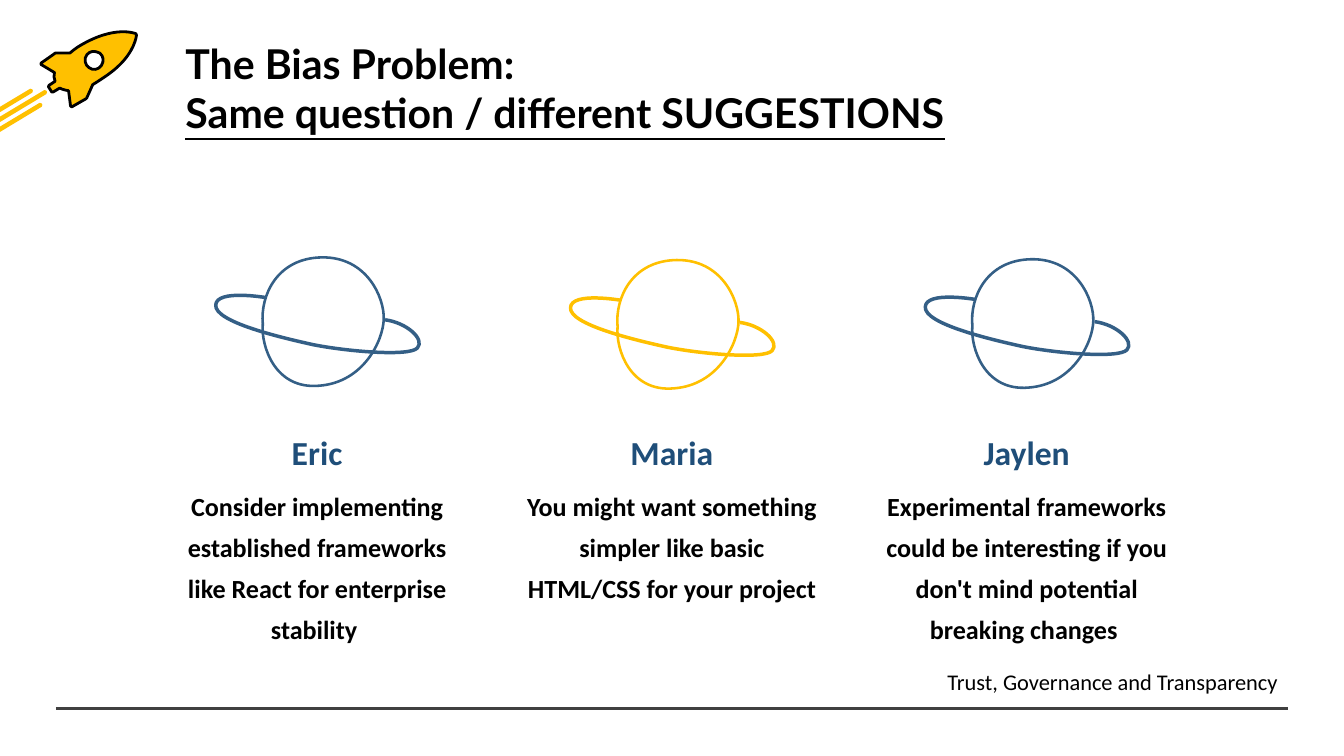
from dataclasses import dataclass

from lxml.etree import SubElement
from pptx import Presentation
from pptx.dml.color import RGBColor
from pptx.enum.shapes import MSO_CONNECTOR
from pptx.enum.text import MSO_AUTO_SIZE, PP_ALIGN
from pptx.oxml.ns import qn
from pptx.util import Cm, Pt


@dataclass(frozen=True)
class Theme:
    ink: str = "000000"
    paper: str = "FFFFFF"
    yellow: str = "FFC000"
    blue: str = "345F86"
    navy: str = "1F4E79"
    grey: str = "404040"
    head_font: str = "Lato"
    body_font: str = "Calibri"
    title: int = 44
    name: int = 36
    body: int = 28
    footer: int = 24


T = Theme()
UNIT = Cm(2.54) / 100

HULL = [
    (43, 29), (21, 29), (20, 29, 20, 29, 20, 30), (0, 44), (0, 46), (20, 58),
    (19, 62, 19, 67, 21, 71), (12, 77), (11, 79), (16, 87), (18, 87), (28, 81),
    (29, 82, 34, 84, 41, 85), (44, 108), (46, 109), (67, 97), (68, 96), (77, 76),
    (82, 73, 88, 69, 94, 65), (129, 42, 138, 19, 141, 8),
    (142, 4, 142, 2, 142, 2), (142, 1, 142, 1, 141, 0),
    (140, 0, 110, -13, 58, 18), (58, 18, 51, 22, 43, 29),
]
WINDOW = [
    (66, 36), (68, 29, 75, 25, 82, 27), (90, 28, 94, 36, 92, 43),
    (90, 50, 83, 55, 76, 53), (69, 51, 64, 44, 66, 36),
]
STREAK = [
    (8, 90), (-181, 204), (-184, 203), (-186, 201),
    (-185, 198), (5, 84), (8, 85), (9, 87),
]
GLOBE = [
    (251, 92), (252, 60, 226, -1, 159, 0), (92, 1, 67, 57, 71, 99),
    (68, 132, 89, 197, 155, 191), (221, 186, 250, 124, 251, 92),
]
RING = [
    (253, 93), (285, 97, 313, 122, 301, 135), (289, 148, 196, 140, 146, 130),
    (96, 119, -1, 96, 1, 71), (2, 47, 76, 60, 76, 60),
]
ROCKET_BOX = (0, -5, 142, 114)
STREAK_BOX = (-186, 84, 195, 120)
GLOBE_BOX = (70, 0, 181, 192)
RING_BOX = (0, 56, 303, 86)

PEOPLE = [
    ("Eric", 2.79, 9.73, T.blue, 6.48,
     "Consider implementing established frameworks like React for enterprise stability "),
    ("Maria", 3.73, 9.83, T.yellow, 4.93,
     "You might want something simpler like basic HTML/CSS for your project "),
    ("Jaylen", 4.22, 9.8, T.blue, 6.48,
     "Experimental frameworks could be interesting if you don't mind potential breaking changes "),
]


def rgb(value):
    return RGBColor.from_string(value)


def draw_path(shape, box, paths, close):
    x0, y0, width, height = box
    outline = shape._element.spPr.find(".//" + qn("a:path"))
    for child in list(outline):
        outline.remove(child)
    outline.set("w", str(width))
    outline.set("h", str(height))
    for path in paths:
        for i, seg in enumerate(path):
            kind = "a:moveTo" if i == 0 else "a:lnTo" if len(seg) == 2 else "a:cubicBezTo"
            step = SubElement(outline, qn(kind))
            for x, y in zip(seg[::2], seg[1::2]):
                SubElement(step, qn("a:pt"), x=str(x - x0), y=str(y - y0))
        if close:
            SubElement(outline, qn("a:close"))


def add_outline(slide, left, top, box, paths, fill=None, line=None, width=0, close=True):
    x, y, w, h = box
    fb = slide.shapes.build_freeform(x, y, scale=UNIT)
    fb.add_line_segments([(x + w, y + h)], close=close)
    s = fb.convert_to_shape(round(left), round(top))
    draw_path(s, box, paths, close)
    s.shadow.inherit = False
    if fill:
        s.fill.solid()
        s.fill.fore_color.rgb = rgb(fill)
    else:
        s.fill.background()
    if line:
        s.line.color.rgb = rgb(line)
        s.line.width = Pt(width)
    else:
        s.line.fill.background()


def add_text(slide, left, top, width, height, text, size, color=T.ink,
             font=T.body_font, bold=True, align=PP_ALIGN.LEFT, wrap=True, spacing=None):
    tf = slide.shapes.add_textbox(left, top, width, height).text_frame
    tf.word_wrap = wrap
    tf.auto_size = MSO_AUTO_SIZE.SHAPE_TO_FIT_TEXT
    if wrap:
        tf.margin_left = tf.margin_right = Cm(0.38)
        tf.margin_top = tf.margin_bottom = Cm(0.2)
    tf.text = text
    for p in tf.paragraphs:
        p.alignment = align
        if spacing:
            p.line_spacing = spacing
        for r in p.runs:
            r.font.name = font
            r.font.size = Pt(size)
            r.font.bold = bold
            r.font.color.rgb = rgb(color)
    return tf


def add_rocket(slide, left, top):
    add_outline(slide, left, top, ROCKET_BOX, [HULL, WINDOW], T.yellow, T.ink, 3)
    for dx, dy in [(0, 0), (-7, 19), (-21, -2)]:
        add_outline(slide, left + dx * UNIT, top + dy * UNIT, STREAK_BOX, [STREAK], T.yellow)


def add_title(slide, left, top, width, height):
    tf = add_text(slide, left, top, width, height,
                  "The Bias Problem:\nSame question / different SUGGESTIONS",
                  T.title, font=T.head_font)
    tf.paragraphs[1].runs[0].font.underline = True


def add_planet(slide, left, top, color):
    add_outline(slide, left, top, GLOBE_BOX, [GLOBE], T.paper, color, 2.75)
    add_outline(slide, left, top, RING_BOX, [RING], None, color, 3.75, close=False)


def add_person(slide, left, width, person):
    name, name_width, planet_top, color, height, advice = person
    add_planet(slide, left + Cm(2.05), Cm(planet_top), color)
    name_left = left + (width - Cm(name_width)) // 2
    add_text(slide, name_left, Cm(16.2), Cm(name_width), Cm(1.8), name, T.name,
             T.navy, align=PP_ALIGN.CENTER, wrap=False)
    add_text(slide, left, Cm(18), width, Cm(height), advice, T.body,
             align=PP_ALIGN.CENTER, spacing=1.3)


def add_footer(slide, left, right, rule_y):
    add_text(slide, right - Cm(13.13), rule_y - Cm(1.65), Cm(13.13), Cm(1.27),
             "Trust, Governance and Transparency", T.footer, bold=False, wrap=False)
    rule = slide.shapes.add_connector(MSO_CONNECTOR.STRAIGHT, left, rule_y, right, rule_y)
    rule.line.color.rgb = rgb(T.grey)
    rule.line.width = Pt(3)
    SubElement(rule._element.spPr, qn("a:effectLst"))


def main():
    prs = Presentation()
    prs.slide_width, prs.slide_height = Cm(50.8), Cm(28.58)
    slide = prs.slides.add_slide(prs.slide_layouts[6])
    add_rocket(slide, Cm(1.55), Cm(1.27))
    add_title(slide, Cm(6.63), Cm(1.26), Cm(38.1), Cm(6.05))
    for i, person in enumerate(PEOPLE):
        add_person(slide, Cm(6.08) + i * Cm(13.41), Cm(11.81), person)
    add_footer(slide, Cm(2.11), Cm(48.69), Cm(26.77))
    prs.save("out.pptx")


if __name__ == "__main__":
    main()
